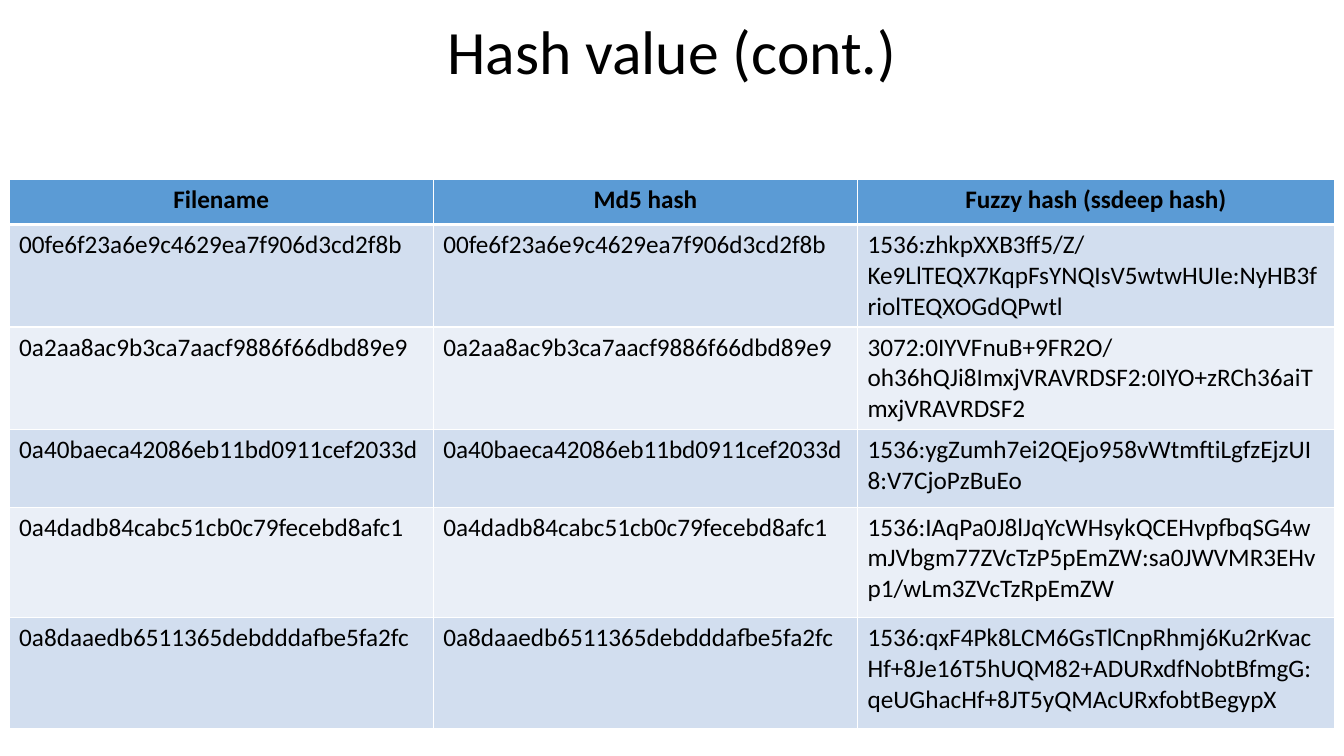
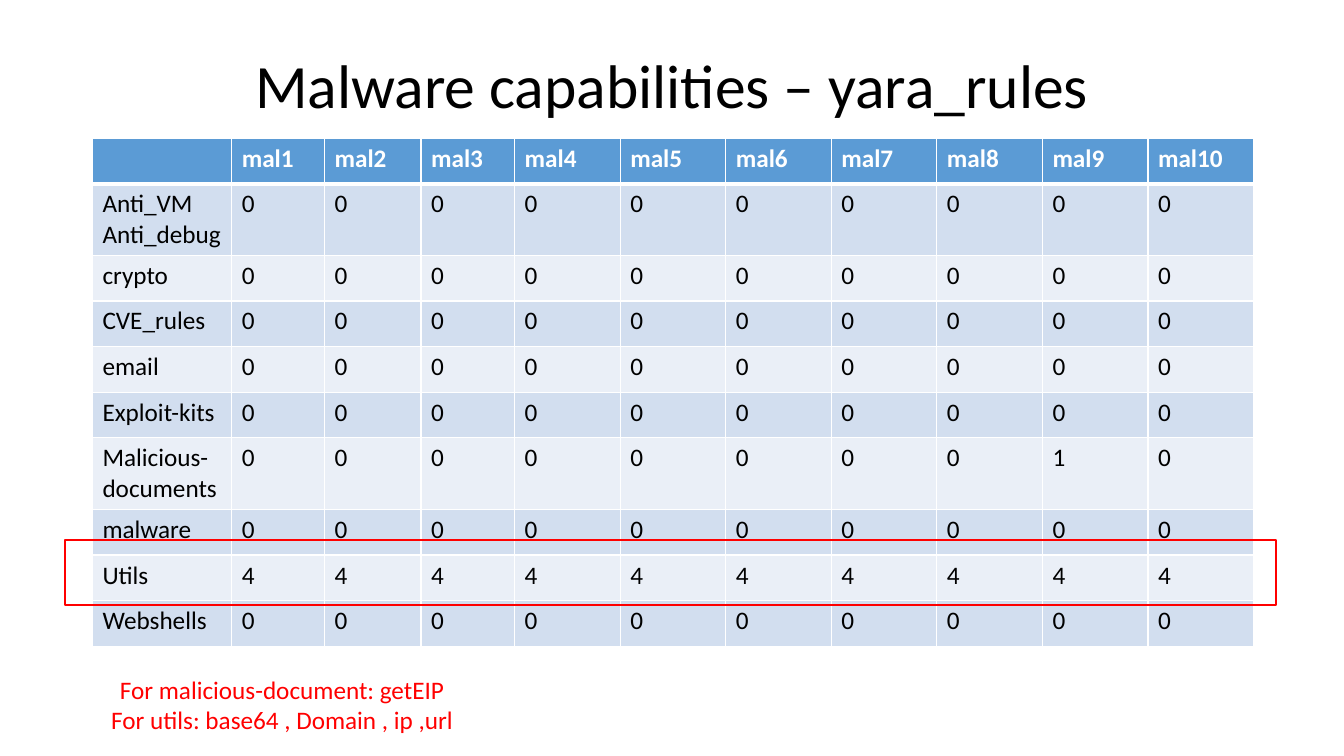
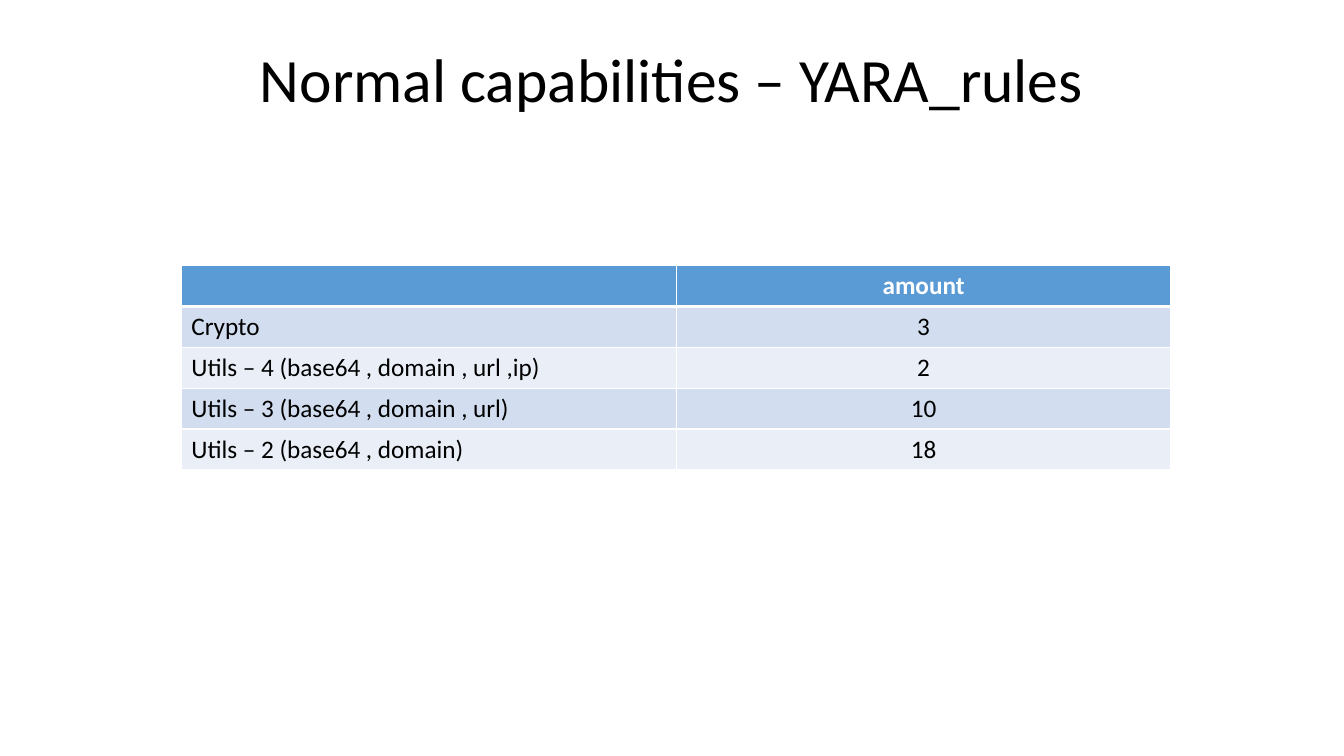
from dataclasses import dataclass

from lxml import etree
from pptx import Presentation
from pptx import util as u
from pptx.dml.color import RGBColor
from pptx.enum import shapes, text
from pptx.oxml import ns

FONT = "Calibri"
BLACK, WHITE, RED = "000000", "FFFFFF", "FF0000"
HEADER_FILL = "5B9BD5"
BAND_FILLS = ("D2DEEF", "EAEFF7")
TITLE_SIZE, BODY_SIZE = 44, 18
THIN_BORDER, HEADER_BORDER = 1, 3
TITLE_LEFT, TITLE_WIDTH = 2.33, 29.21
TITLE_ONLY_LAYOUT = 5


@dataclass(frozen=True)
class Box:
    """A rectangle in centimetres."""
    left: float
    top: float
    width: float
    height: float

    def lengths(self) -> tuple[u.Cm, ...]:
        return tuple(u.Cm(n) for n in (self.left, self.top, self.width, self.height))


@dataclass(frozen=True)
class TableDesign:
    left: float
    top: float
    column_widths: list[float]
    row_heights: list[float]
    rows: list[list[str]]
    header_color: str = WHITE
    centered_headers: bool = False
    centered_columns: tuple[int, ...] = ()


def rgb(color: str) -> RGBColor:
    return RGBColor.from_string(color)


def format_text(frame, size: int, color: str, bold: bool = False, centered: bool = False) -> None:
    for paragraph in frame.paragraphs:
        paragraph.alignment = text.PP_ALIGN.CENTER if centered else text.PP_ALIGN.LEFT
        for run in paragraph.runs:
            run.font.name = FONT
            run.font.size = u.Pt(size)
            run.font.bold = bold
            run.font.color.rgb = rgb(color)


def add_titled_slide(presentation, title: str, top: float, height: float):
    slide = presentation.slides.add_slide(presentation.slide_layouts[TITLE_ONLY_LAYOUT])
    shape = slide.shapes.title
    shape.left, shape.top, shape.width, shape.height = Box(
        TITLE_LEFT, top, TITLE_WIDTH, height).lengths()
    frame = shape.text_frame
    frame.text = title
    frame.vertical_anchor = text.MSO_ANCHOR.MIDDLE
    frame.paragraphs[0].line_spacing = 0.9
    format_text(frame, TITLE_SIZE, BLACK, centered=True)
    return slide


def set_borders(cell, top: float, bottom: float) -> None:
    """Draw white cell borders; top and bottom are widths in points."""
    properties = cell._tc.get_or_add_tcPr()
    widths = {"a:lnL": THIN_BORDER, "a:lnR": THIN_BORDER, "a:lnT": top, "a:lnB": bottom}
    for position, (tag, width) in enumerate(widths.items()):
        line = etree.Element(ns.qn(tag), w=str(u.Pt(width)))
        fill = etree.SubElement(line, ns.qn("a:solidFill"))
        etree.SubElement(fill, ns.qn("a:srgbClr"), val=WHITE)
        properties.insert(position, line)


def add_banded_table(slide, design: TableDesign) -> None:
    box = Box(design.left, design.top, sum(design.column_widths), sum(design.row_heights))
    table = slide.shapes.add_table(
        len(design.rows), len(design.column_widths), *box.lengths()).table
    for column, width in zip(table.columns, design.column_widths):
        column.width = u.Cm(width)
    for row, height in zip(table.rows, design.row_heights):
        row.height = u.Cm(height)
    for row_index, values in enumerate(design.rows):
        is_header = row_index == 0
        fill = HEADER_FILL if is_header else BAND_FILLS[(row_index - 1) % 2]
        for column_index, value in enumerate(values):
            cell = table.cell(row_index, column_index)
            cell.text = value
            cell.fill.solid()
            cell.fill.fore_color.rgb = rgb(fill)
            set_borders(cell,
                        top=HEADER_BORDER if row_index == 1 else THIN_BORDER,
                        bottom=HEADER_BORDER if is_header else THIN_BORDER)
            centered = (design.centered_headers if is_header
                        else column_index in design.centered_columns)
            format_text(cell.text_frame, BODY_SIZE,
                        design.header_color if is_header else BLACK,
                        bold=is_header, centered=centered)


def add_note(slide, box: Box, note: str) -> None:
    frame = slide.shapes.add_textbox(*box.lengths()).text_frame
    frame.word_wrap = True
    frame.auto_size = text.MSO_AUTO_SIZE.NONE
    frame.vertical_anchor = text.MSO_ANCHOR.MIDDLE
    frame.text = note
    format_text(frame, BODY_SIZE, RED, centered=True)


def add_highlight(slide, box: Box) -> None:
    shape = slide.shapes.add_shape(shapes.MSO_SHAPE.RECTANGLE, *box.lengths())
    shape.shadow.inherit = False
    shape.fill.background()
    shape.line.color.rgb = rgb(RED)
    shape.line.width = u.Pt(1.5)


def build_hash_slide(presentation) -> None:
    slide = add_titled_slide(presentation, "Hash value (cont.)", top=0, height=2.77)
    fuzzy_hashes = {
        "00fe6f23a6e9c4629ea7f906d3cd2f8b":
            "1536:zhkpXXB3ff5/Z/Ke9LlTEQX7KqpFsYNQIsV5wtwHUIe:NyHB3friolTEQXOGdQPwtl",
        "0a2aa8ac9b3ca7aacf9886f66dbd89e9":
            "3072:0IYVFnuB+9FR2O/oh36hQJi8ImxjVRAVRDSF2:0IYO+zRCh36aiTmxjVRAVRDSF2",
        "0a40baeca42086eb11bd0911cef2033d":
            "1536:ygZumh7ei2QEjo958vWtmftiLgfzEjzUI8:V7CjoPzBuEo",
        "0a4dadb84cabc51cb0c79fecebd8afc1":
            "1536:IAqPa0J8lJqYcWHsykQCEHvpfbqSG4wmJVbgm77ZVcTzP5pEmZW"
            ":sa0JWVMR3EHvp1/wLm3ZVcTzRpEmZW",
        "0a8daaedb6511365debdddafbe5fa2fc":
            "1536:qxF4Pk8LCM6GsTlCnpRhmj6Ku2rKvacHf+8Je16T5hUQM82+ADURxdfNobtBfmgG"
            ":qeUGhacHf+8JT5yQMAcURxfobtBegypX",
    }
    # The files are named after their MD5 hash.
    rows = [["Filename", "Md5 hash", "Fuzzy hash (ssdeep hash)"]]
    rows += [[md5, md5, fuzzy] for md5, fuzzy in fuzzy_hashes.items()]
    add_banded_table(slide, TableDesign(
        left=0.23, top=4.52,
        column_widths=[10.69, 10.69, 12.02],
        row_heights=[1.14] + [1.96] * 3 + [2.79] * 2,
        rows=rows, header_color=BLACK, centered_headers=True))


def build_malware_slide(presentation) -> None:
    slide = add_titled_slide(presentation, "Malware capabilities – yara_rules",
                             top=0.38, height=3.68)
    sample_count = 10
    no_matches = ["0"] * sample_count
    matches = {
        "Anti_VM\nAnti_debug": no_matches,
        "crypto": no_matches,
        "CVE_rules": no_matches,
        "email": no_matches,
        "Exploit-kits": no_matches,
        "Malicious-documents": ["0"] * 8 + ["1", "0"],
        "malware": no_matches,
        "Utils": ["4"] * sample_count,
        "Webshells": no_matches,
    }
    rows = [[""] + [f"mal{number}" for number in range(1, sample_count + 1)]]
    rows += [[rule, *counts] for rule, counts in matches.items()]
    add_banded_table(slide, TableDesign(
        left=2.33, top=3.48,
        column_widths=[3.51, 2.34, 2.43, 2.36] + [2.66] * 7,
        row_heights=[1.15] * len(rows),
        rows=rows))
    add_note(slide, Box(0, 17.02, 14.22, 1.47),
             "For malicious-document: getEIP\nFor utils: base64 , Domain , ip ,url")
    add_highlight(slide, Box(1.63, 13.61, 30.53, 1.63))


def build_normal_slide(presentation) -> None:
    slide = add_titled_slide(presentation, "Normal capabilities – YARA_rules",
                             top=0.25, height=3.68)
    rows = [
        ["", "amount"],
        ["Crypto", "3"],
        ["Utils – 4 (base64 , domain , url ,ip)", "2"],
        ["Utils – 3 (base64 , domain , url)", "10"],
        ["Utils – 2 (base64 , domain)", "18"],
    ]
    add_banded_table(slide, TableDesign(
        left=4.57, top=6.69,
        column_widths=[12.47] * 2,
        row_heights=[1.03] * len(rows),
        rows=rows, centered_headers=True, centered_columns=(1,)))


def main() -> None:
    presentation = Presentation()
    presentation.slide_width = u.Cm(33.87)
    presentation.slide_height = u.Cm(19.05)
    build_hash_slide(presentation)
    build_malware_slide(presentation)
    build_normal_slide(presentation)
    presentation.save("out.pptx")


if __name__ == "__main__":
    main()
